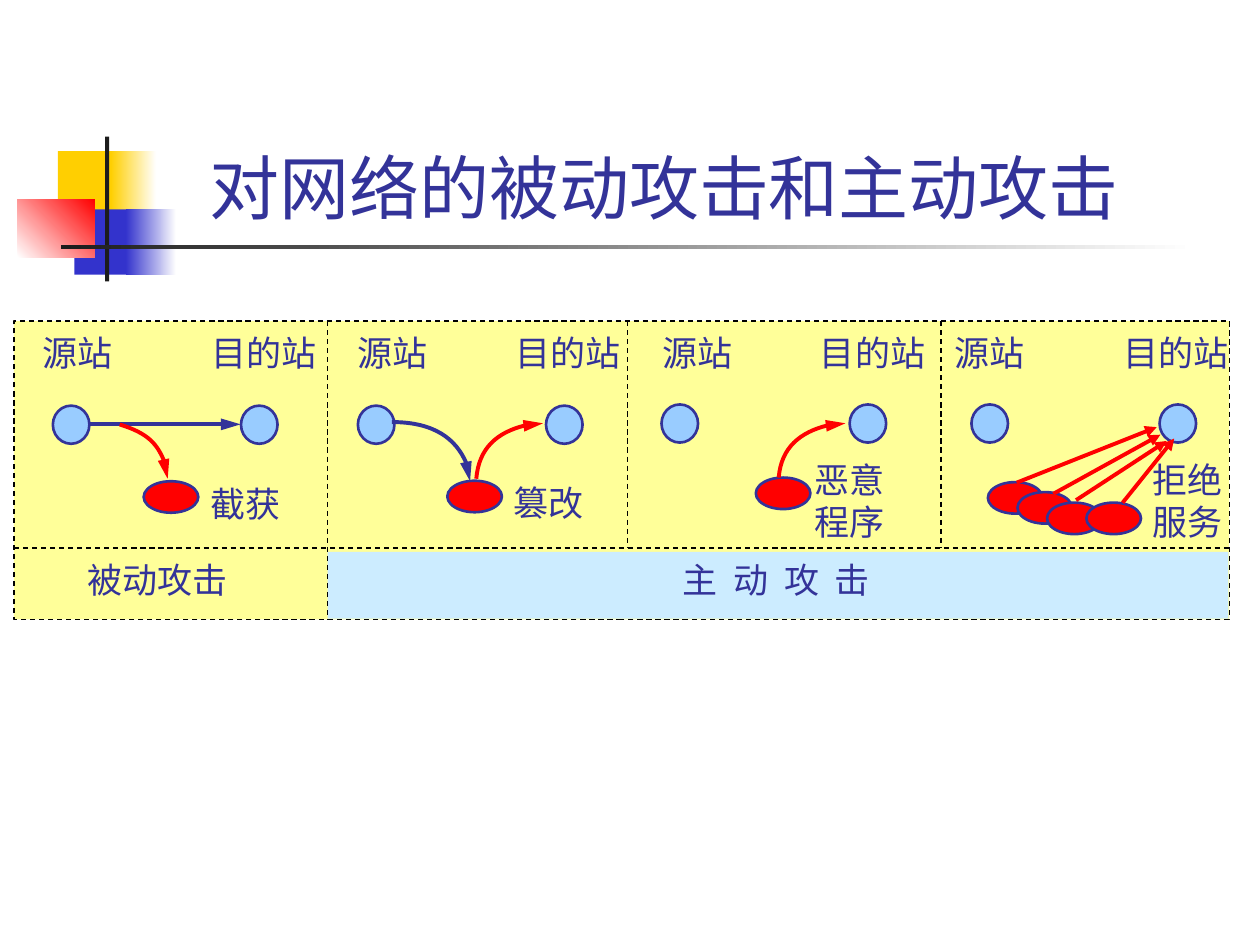
from lxml import etree
from pptx import Presentation
from pptx.dml.color import RGBColor
from pptx.enum import dml, shapes, text
from pptx.oxml import ns
from pptx.util import Pt

NAVY = RGBColor(0x33, 0x33, 0x99)
BLUE = RGBColor(0x33, 0x33, 0xCC)
SKY = RGBColor(0x99, 0xCC, 0xFF)
PALE_BLUE = RGBColor(0xCC, 0xEC, 0xFF)
PALE_YELLOW = RGBColor(0xFF, 0xFF, 0x99)
GOLD = RGBColor(0xFF, 0xCF, 0x01)
RED = RGBColor(0xFF, 0x00, 0x00)
CHARCOAL = RGBColor(0x1C, 0x1C, 0x1C)
BLACK = RGBColor(0x00, 0x00, 0x00)
WHITE = RGBColor(0xFF, 0xFF, 0xFF)
RECTANGLE = shapes.MSO_SHAPE.RECTANGLE
OVAL = shapes.MSO_SHAPE.OVAL

presentation = Presentation()
presentation.slide_width, presentation.slide_height = Pt(720), Pt(540)
slide = presentation.slides.add_slide(presentation.slide_layouts[6])


def add_filled(kind, box, colour, outline=None, width=1.5):
    shape = slide.shapes.add_shape(kind, *[Pt(value) for value in box])
    shape.shadow.inherit = False
    shape.fill.solid()
    shape.fill.fore_color.rgb = colour
    if outline is None:
        shape.line.fill.background()
    else:
        shape.line.color.rgb = outline
        shape.line.width = Pt(width)
    return shape


def add_text(box, wording, size=20):
    shape = slide.shapes.add_textbox(*[Pt(value) for value in box])
    frame = shape.text_frame
    frame.word_wrap = False
    frame.auto_size = text.MSO_AUTO_SIZE.SHAPE_TO_FIT_TEXT
    frame.text = wording
    for paragraph in frame.paragraphs:
        for run in paragraph.runs:
            run.font.name = "Arial"
            run.font.size = Pt(size)
            run.font.color.rgb = NAVY
    return frame


ornaments = [
    ((33.1, 86.4, 34.6, 37.4), GOLD, None, 0),
    ((63.4, 86.4, 25.9, 37.4), GOLD, WHITE, 0),
    ((42.5, 119.6, 33.1, 37.4), BLUE, None, 0),
    ((72, 119.6, 28.8, 37.4), BLUE, WHITE, 0),
    ((10, 113.8, 44.2, 33.4), WHITE, RED, 45),
    ((60, 78, 2.4, 82.8), CHARCOAL, None, 0),
    ((34.8, 140, 648, 2.6), CHARCOAL, WHITE, 0),
]
for box, colour, end_colour, angle in ornaments:
    ornament = add_filled(RECTANGLE, box, colour)
    if end_colour is not None:
        ornament.fill.gradient()
        ornament.fill.gradient_angle = angle
        for stop, stop_colour in zip(ornament.fill.gradient_stops, (colour, end_colour)):
            stop.color.rgb = stop_colour

frame_left, frame_top, frame_right, frame_bottom = 8, 183.5, 702.5, 354
row_line = 313.2
column_lines = [187.2, 358.6, 537.8]
panel = add_filled(
    RECTANGLE,
    (frame_left, frame_top, frame_right - frame_left, frame_bottom - frame_top),
    PALE_YELLOW, BLACK, 0.75,
)
panel.line.dash_style = dml.MSO_LINE.DASH
add_filled(RECTANGLE, (187.2, 315.4, 514.8, 38.2), PALE_BLUE)

title = add_text((109.5, 73.5, 540, 60.5), "对网络的被动攻击和主动攻击", 40)
title.word_wrap = True
title.auto_size = text.MSO_AUTO_SIZE.NONE
title.vertical_anchor = text.MSO_ANCHOR.BOTTOM
title.paragraphs[0].alignment = text.PP_ALIGN.CENTER

stations = [
    (30.2, 231.8, 17.3, 113.8),
    (204.5, 231.8, 197.3, 287.3),
    (378, 231.1, 371.5, 461.5),
    (555.1, 231.1, 538.6, 635),
]
for station_left, station_top, source_left, target_left in stations:
    for offset in (0, 107.5):
        add_filled(OVAL, (station_left + offset, station_top, 20.9, 21.8), SKY, NAVY)
    add_text((source_left, 185.8, 55, 31.7), "源站")
    add_text((target_left, 185.8, 75, 31.7), "目的站")

labels = [
    ((113.2, 272.2, 55, 31.7), "截获"),
    ((286.6, 271.4, 55, 31.7), "篡改"),
    ((458.6, 258.5, 55, 55.4), "恶意\n程序"),
    ((651.6, 258.5, 55, 55.4), "拒绝\n服务"),
    ((42.8, 315.4, 95, 31.7), "被动攻击"),
    ((383, 315.4, 122, 31.7), "主  动  攻  击"),
]
for box, wording in labels:
    add_text(box, wording)

attackers = [(82.1, 275), (255.6, 274.7), (431.9, 272.9),
             (564.5, 275.5), (581.4, 281.2), (598.3, 287.2), (620.8, 287.2)]
for left, top in attackers:
    add_filled(OVAL, (left, top, 31.2, 18), RED, NAVY)

dividers = [((frame_left, row_line), (frame_right, row_line))]
for index, column in enumerate(column_lines):
    bottom = frame_bottom if index == 0 else row_line
    dividers.append(((column, frame_top), (column, bottom)))
arrows = [
    (NAVY, (51.1, 242.5), (137.5, 242.5)),
    (RED, (581, 275.8), (661, 244.1)),
    (RED, (601.9, 282.2), (663.1, 248.4)),
    (RED, (614.9, 285.8), (666.7, 252)),
    (RED, (641.5, 287.3), (671, 250.6)),
    (RED, (68.4, 242.6), (85, 247.7), (95.8, 259.9), (95.8, 273.6)),
    (NAVY, (223.9, 241.2), (248.4, 241.2), (268.6, 256.3), (268.6, 275)),
    (RED, (272.2, 273.6), (273.6, 255.6), (290.2, 241.9), (310.3, 241.9)),
    (RED, (445, 272.9), (446.4, 255.6), (463, 241.9), (483.1, 241.9)),
]
strokes = [(BLACK, *divider) for divider in dividers] + arrows
for colour, *points in strokes:
    points = [(Pt(x), Pt(y)) for x, y in points]
    straight = len(points) == 2
    if straight:
        stroke = slide.shapes.add_connector(shapes.MSO_CONNECTOR.STRAIGHT, *points[0], *points[1])
    else:
        builder = slide.shapes.build_freeform(*points[0], scale=1.0)
        builder.add_line_segments(points[1:], close=False)
        stroke = builder.convert_to_shape()
        stroke.fill.background()
        stroke.shadow.inherit = False
        segments = list(stroke.element.iter(ns.qn("a:lnTo")))
        curve = etree.SubElement(segments[0].getparent(), ns.qn("a:cubicBezTo"))
        for segment in segments:
            curve.append(segment[0])
            segment.getparent().remove(segment)
    stroke.line.color.rgb = colour
    if colour == BLACK:
        stroke.line.width = Pt(0.75)
        stroke.line.dash_style = dml.MSO_LINE.DASH
    else:
        stroke.line.width = Pt(2.25)
        line_xml = stroke.element.spPr.find(ns.qn("a:ln"))
        head_length = "med" if straight and colour == RED else "lg"
        etree.SubElement(line_xml, ns.qn("a:tailEnd"), type="triangle", len=head_length)
    if straight:
        etree.SubElement(stroke.element.spPr, ns.qn("a:effectLst"))

presentation.save("out.pptx")
